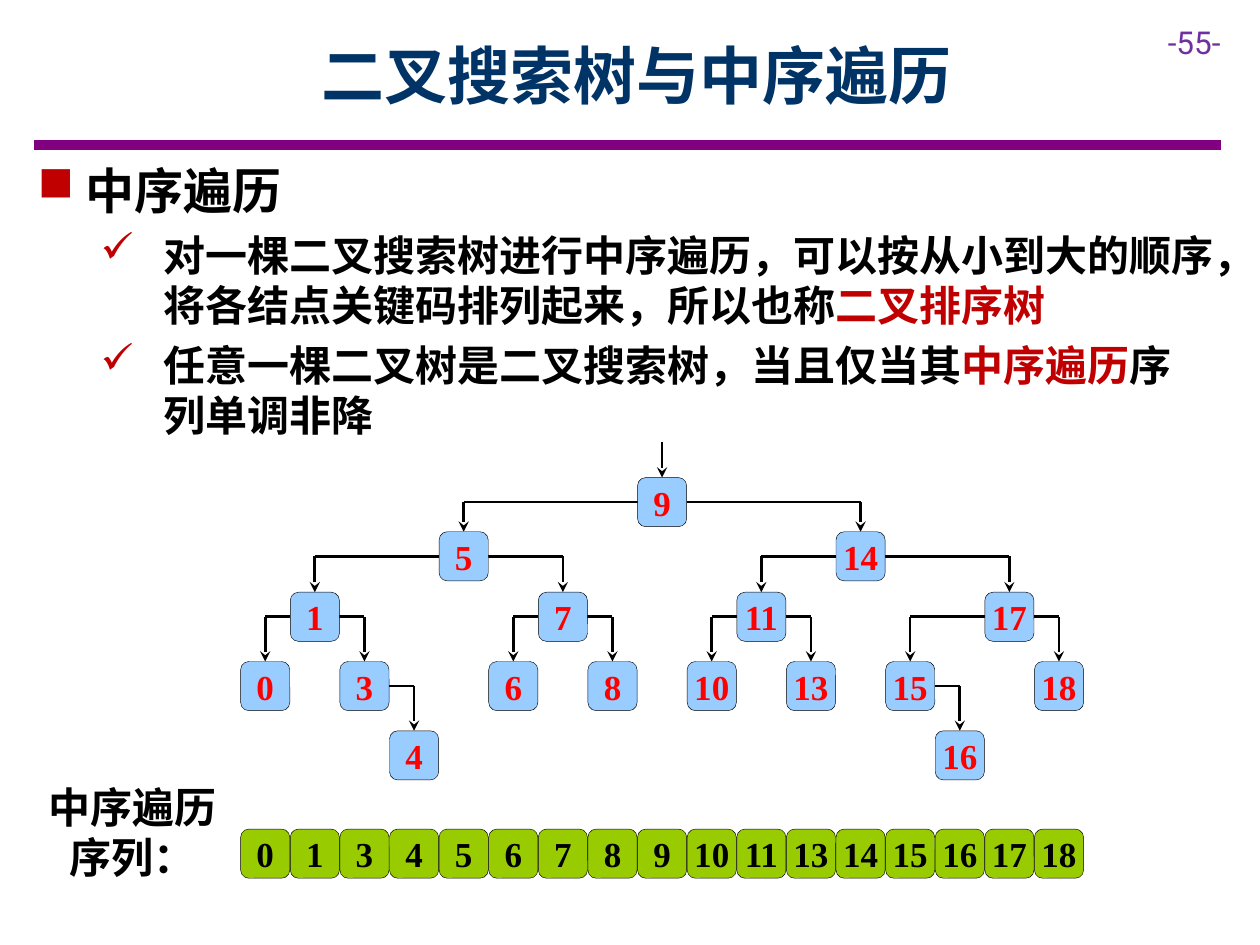
from lxml.etree import SubElement
from pptx import Presentation
from pptx.dml.color import RGBColor
from pptx.enum.shapes import MSO_CONNECTOR as CONNECTOR, MSO_SHAPE as SHAPE
from pptx.enum.text import MSO_ANCHOR as ANCHOR, PP_ALIGN as ALIGN
from pptx.oxml.ns import qn
from pptx.util import Inches, Pt

COLORS = {
    "black": "000000", "red": "FF0000", "accent": "C00000", "title": "003366",
    "rule": "800080", "number": "7030A0", "node": "99CCFF", "sequence": "99CC00",
}
CJK = "Noto Sans CJK SC"
KEYS = [0, 1, 3, 4, 5, 6, 7, 8, 9, 10, 11, 13, 14, 15, 16, 17, 18]
PARENTS = {
    5: 9, 14: 9, 1: 5, 7: 5, 11: 14, 17: 14, 0: 1, 3: 1, 6: 7, 8: 7,
    10: 11, 13: 11, 15: 17, 18: 17, 4: 3, 16: 15,
}
LEVEL_TOPS = [3.79, 4.22, 4.7, 5.25, 5.8]
NODE = 0.39
LEFT = 1.91
PITCH = 6.3 / 16
SEQUENCE_TOP = 6.58
BULLETS = [
    ("■", 28, 33.5, 0.38, 0.38, [("中序遍历", "black")]),
    ("✓", 24, 28.5, 1, 0.5, [
        ("对一棵二叉搜索树进行中序遍历，可以按从小到大的顺序，将各结点关键码排列起来，所以也称", "black"),
        ("二叉排序树", "accent")]),
    ("✓", 24, 28.5, 1, 0.5, [
        ("任意一棵二叉树是二叉搜索树，当且仅当其", "black"),
        ("中序遍历", "accent"),
        ("序列单调非降", "black")]),
]


def rgb(name):
    return RGBColor.from_string(COLORS[name])


def style(para, size, name, color=None, bold=True):
    font = para.font
    font.size, font.name, font.bold = Pt(size), name, bold
    if color:
        font.color.rgb = rgb(color)
    latin = para._p.pPr.find(qn("a:defRPr")).find(qn("a:latin"))
    east = latin.makeelement(qn("a:ea"), {"typeface": name})
    latin.addnext(east)


def add_box(page, left, top, width, height):
    box = page.shapes.add_textbox(Inches(left), Inches(top), Inches(width), Inches(height))
    box.text_frame.word_wrap = True
    return box.text_frame


def add_label(page, place, text, size, name, color, bold=True, align=ALIGN.CENTER):
    frame = add_box(page, *place)
    para = frame.paragraphs[0]
    para.text = text
    para.alignment = align
    style(para, size, name, color, bold)
    return frame


def add_bullets(page):
    frame = add_box(page, 0.2, 1.23, 9.53, 2.36)
    for index, (mark, size, spacing, margin, hanging, spans) in enumerate(BULLETS):
        para = frame.add_paragraph() if index else frame.paragraphs[0]
        para.line_spacing = Pt(spacing)
        para.space_after = Pt(6)
        props = para._p.get_or_add_pPr()
        props.set("marL", str(Inches(margin)))
        props.set("indent", str(-Inches(hanging)))
        bullet_color = SubElement(props, qn("a:buClr"))
        SubElement(bullet_color, qn("a:srgbClr"), val=COLORS["accent"])
        SubElement(props, qn("a:buChar"), char=mark)
        style(para, size, CJK)
        for text, color in spans:
            span = para.add_run()
            span.text = text
            span.font.color.rgb = rgb(color)


def add_line(page, start, end, color="black", width=1.5, arrow=False):
    points = [Inches(value) for value in (*start, *end)]
    line = page.shapes.add_connector(CONNECTOR.STRAIGHT, *points)
    line.line.color.rgb = rgb(color)
    line.line.width = Pt(width)
    if arrow:
        SubElement(line.line._get_or_add_ln(), qn("a:tailEnd"), type="stealth")
    SubElement(line._element.spPr, qn("a:effectLst"))


def add_cell(page, key, top, fill, color):
    cell = page.shapes.add_shape(
        SHAPE.ROUNDED_RECTANGLE, Inches(column(key)), Inches(top), Inches(NODE), Inches(NODE))
    cell.shadow.inherit = False
    cell.fill.solid()
    cell.fill.fore_color.rgb = rgb(fill)
    cell.line.color.rgb = rgb("black")
    cell.line.width = Pt(0.25)
    frame = cell.text_frame
    frame.margin_left = frame.margin_right = 0
    frame.margin_top = frame.margin_bottom = Inches(0.1)
    frame.vertical_anchor = ANCHOR.MIDDLE
    para = frame.paragraphs[0]
    para.text = str(key)
    para.alignment = ALIGN.CENTER
    style(para, 20, "Times New Roman", color)


def column(key):
    return LEFT + KEYS.index(key) * PITCH


def level_top(key):
    depth = 0
    while key in PARENTS:
        key = PARENTS[key]
        depth += 1
    return LEVEL_TOPS[depth]


def add_branch(page, child, parent):
    center = column(child) + NODE / 2
    middle = level_top(parent) + NODE / 2
    side = column(parent) + (NODE if child > parent else 0)
    add_line(page, (center, middle), (side, middle))
    add_line(page, (center, middle), (center, level_top(child)), arrow=True)


def add_tree(page):
    root = column(9) + NODE / 2
    add_line(page, (root, 3.51), (root, LEVEL_TOPS[0]), arrow=True)
    for child, parent in PARENTS.items():
        add_branch(page, child, parent)
    for key in KEYS:
        add_cell(page, key, level_top(key), "node", "red")


def add_sequence(page):
    for key in KEYS:
        add_cell(page, key, SEQUENCE_TOP, "sequence", "black")
    frame = add_label(page, (0.26, 6.16, 1.59, 0.91), "中序遍历序列：", 24, CJK, "black")
    frame.paragraphs[0].line_spacing = Pt(28.5)


def main():
    deck = Presentation()
    deck.slide_width, deck.slide_height = Inches(10), Inches(7.5)
    page = deck.slides.add_slide(deck.slide_layouts[6])
    add_line(page, (0.27, 1.15), (9.69, 1.15), "rule", 6)
    add_label(page, (9.17, 0.13, 0.83, 0.4), "-55-", 18, "Roboto", "number", False, ALIGN.LEFT)
    title = add_label(page, (0.9, 0.09, 8.31, 1), "二叉搜索树与中序遍历", 36, CJK, "title")
    title.vertical_anchor = ANCHOR.MIDDLE
    add_bullets(page)
    add_tree(page)
    add_sequence(page)
    deck.save("out.pptx")


if __name__ == "__main__":
    main()
